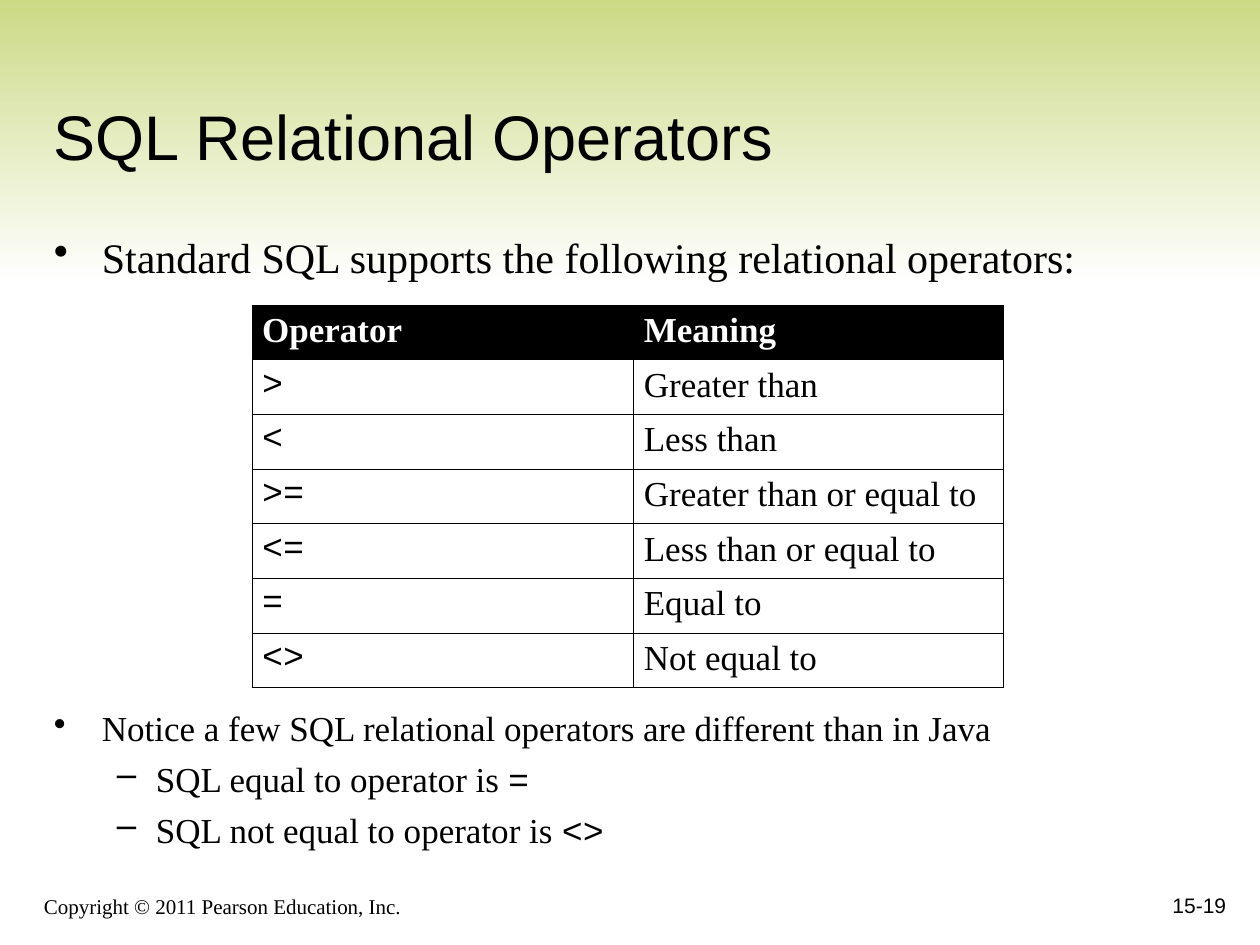
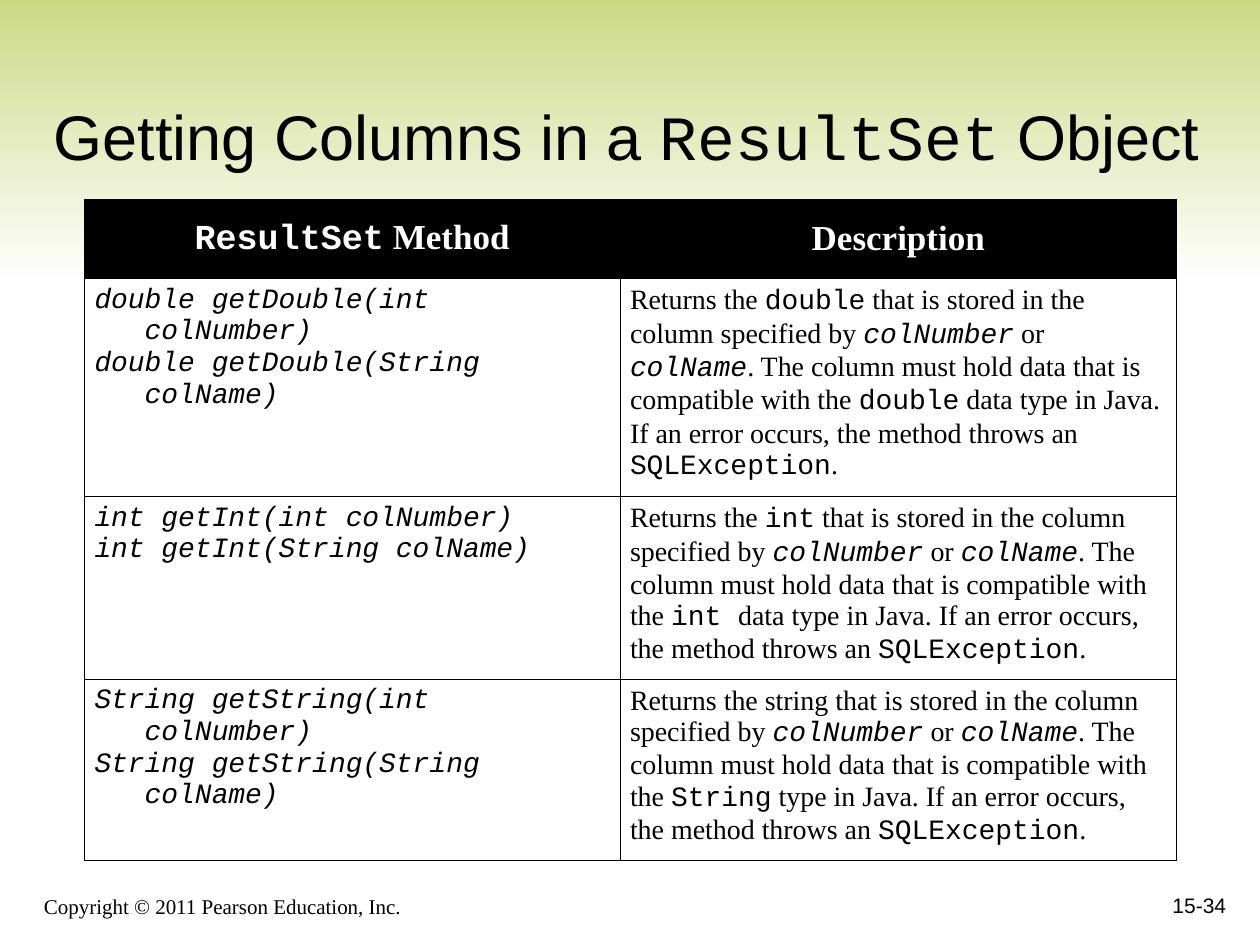
from dataclasses import dataclass

from lxml import etree
from pptx import Presentation
from pptx.dml.color import RGBColor
from pptx.enum.shapes import MSO_SHAPE
from pptx.enum.text import MSO_ANCHOR, PP_ALIGN
from pptx.oxml.ns import qn
from pptx.util import Inches, Pt


@dataclass(frozen=True)
class Theme:
    black: str = "000000"
    white: str = "FFFFFF"
    green: str = "CAD881"
    heading: str = "Arial"
    body: str = "Times New Roman"
    code: str = "Courier New"
    title_size: int = 36
    lead_size: int = 24
    body_size: int = 20
    detail_size: int = 16
    footer_size: int = 12
    border_width: float = 0.45


class SlideBuilder:
    """Holds the theme and the current slide.

    In texts, `word` is set in the code font and `~word` in slanted code font.
    """

    # Bullet character, left margin and hanging indent by level
    BULLETS = [("•", 0.38, 0.38), ("–", 0.81, 0.31)]

    def __init__(self, deck, theme):
        self.deck = deck
        self.theme = theme
        self.slide = None

    def start_slide(self, title, number):
        theme = self.theme
        self.slide = self.deck.slides.add_slide(self.deck.slide_layouts[6])
        self.band()
        self.text(0.25, 6.92, 6.08, 0.42, "Copyright © 2011 Pearson Education, Inc.",
                  theme.body, theme.footer_size)
        self.text(0.33, 0.33, 9.42, 1.09, title, theme.heading, theme.title_size)
        self.text(7.75, 6.83, 2.08, 0.5, number, theme.heading, theme.footer_size,
                  PP_ALIGN.RIGHT)

    def band(self):
        band = self.slide.shapes.add_shape(
            MSO_SHAPE.RECTANGLE, 0, Inches(-0.08), Inches(10), Inches(2.33))
        band.shadow.inherit = False
        band.line.fill.background()
        band.fill.gradient()
        band.fill.gradient_angle = 270
        for stop, color in zip(band.fill.gradient_stops, (self.theme.green, self.theme.white)):
            stop.color.rgb = RGBColor.from_string(color)

    def add_spans(self, para, text, font, size, color=None, bold=False):
        for index, piece in enumerate(text.split("`")):
            if not piece:
                continue
            is_code = index % 2 == 1
            span = para.add_run()
            span.text = piece.removeprefix("~")
            span.font.name = self.theme.code if is_code else font
            span.font.size = Pt(size)
            span.font.bold = bold
            span.font.italic = is_code and piece.startswith("~")
            span.font.color.rgb = RGBColor.from_string(color or self.theme.black)

    def text_box(self, left, top, width, height):
        box = self.slide.shapes.add_textbox(
            Inches(left), Inches(top), Inches(width), Inches(height))
        box.text_frame.word_wrap = True
        return box.text_frame

    def text(self, left, top, width, height, text, font, size, align=PP_ALIGN.LEFT):
        frame = self.text_box(left, top, width, height)
        frame.vertical_anchor = MSO_ANCHOR.BOTTOM
        para = frame.paragraphs[0]
        para.alignment = align
        self.add_spans(para, text, font, size)

    def bullets(self, left, top, width, height, items, size):
        frame = self.text_box(left, top, width, height)
        frame.margin_right = 0
        for index, (level, text) in enumerate(items):
            para = frame.add_paragraph() if index else frame.paragraphs[0]
            para.level = level
            character, margin, hanging = self.BULLETS[level]
            properties = para._p.get_or_add_pPr()
            properties.set("marL", str(Inches(margin)))
            properties.set("indent", str(-Inches(hanging)))
            etree.SubElement(properties, qn("a:buChar")).set("char", character)
            if index:
                para.space_before = Pt(size / 4)
            self.add_spans(para, text, self.theme.body, size)

    def table(self, left, top, widths, heights, rows, size, centre_header=False):
        theme = self.theme
        table = self.slide.shapes.add_table(
            len(rows), len(widths), Inches(left), Inches(top),
            Inches(sum(widths)), Inches(sum(heights))).table
        table.first_row = table.horz_banding = False
        for column, width in zip(table.columns, widths):
            column.width = Inches(width)
        for row, height in zip(table.rows, heights):
            row.height = Inches(height)
        for row_index, texts in enumerate(rows):
            is_header = row_index == 0
            for column_index, text in enumerate(texts):
                cell = table.cell(row_index, column_index)
                cell.margin_left = cell.margin_right = Inches(0.08)
                cell.margin_top = cell.margin_bottom = Inches(0.05)
                self.borders(cell)
                cell.fill.solid()
                cell.fill.fore_color.rgb = RGBColor.from_string(
                    theme.black if is_header else theme.white)
                if is_header and centre_header:
                    cell.vertical_anchor = MSO_ANCHOR.MIDDLE
                for line_index, line in enumerate(text.split("\n")):
                    frame = cell.text_frame
                    para = frame.add_paragraph() if line_index else frame.paragraphs[0]
                    if is_header and centre_header:
                        para.alignment = PP_ALIGN.CENTER
                    self.add_spans(para, line, theme.body,
                                   theme.body_size if is_header else size,
                                   theme.white if is_header else theme.black, is_header)

    def borders(self, cell):
        properties = cell._tc.get_or_add_tcPr()
        for side in ("lnL", "lnR", "lnT", "lnB"):
            line = etree.SubElement(properties, qn(f"a:{side}"))
            line.set("w", str(Pt(self.theme.border_width)))
            fill = etree.SubElement(line, qn("a:solidFill"))
            etree.SubElement(fill, qn("a:srgbClr")).set("val", self.theme.black)


def relational_operators(builder):
    theme = builder.theme
    builder.start_slide("SQL Relational Operators", "15-19")
    builder.bullets(0.33, 1.79, 9.07, 0.5, [
        (0, "Standard SQL supports the following relational operators:"),
    ], theme.lead_size)
    operators = [
        ("Operator", "Meaning"),
        ("`>`", "Greater than"),
        ("`<`", "Less than"),
        ("`>=`", "Greater than or equal to"),
        ("`<=`", "Less than or equal to"),
        ("`=`", "Equal to"),
        ("`<>`", "Not equal to"),
    ]
    builder.table(2, 2.42, [3.03, 2.93], [0.41] * len(operators), operators, theme.body_size)
    builder.bullets(0.33, 5.56, 9.07, 1.19, [
        (0, "Notice a few SQL relational operators are different than in Java"),
        (1, "SQL equal to operator is `=`"),
        (1, "SQL not equal to operator is `<>`"),
    ], theme.body_size)


def result_set_columns(builder):
    builder.start_slide("Getting Columns in a `ResultSet` Object", "15-34")

    def description(value, kind):
        return (f"Returns the {value} that is stored in the column specified by "
                "`~colNumber` or `~colName`. The column must hold data that is "
                f"compatible with the {kind} in Java. If an error occurs, "
                "the method throws an `SQLException`.")

    def split_signatures(kind, method):
        return "\n".join(f"`~{kind} {method}({argument}`\n`~   {name})`"
                         for argument, name in (("int", "colNumber"), ("String", "colName")))

    methods = [
        ("`ResultSet` Method", "Description"),
        (split_signatures("double", "getDouble"),
         description("`double`", "`double` data type")),
        ("`~int getInt(int colNumber)`\n`~int getInt(String colName)`",
         description("`int`", "`int `data type")),
        (split_signatures("String", "getString"),
         description("string", "`String` type")),
    ]
    builder.table(0.67, 1.58, [4.25, 4.42], [0.63, 1.73, 1.45, 1.44], methods,
                  builder.theme.detail_size, centre_header=True)


def main():
    deck = Presentation()
    deck.slide_width, deck.slide_height = Inches(10), Inches(7.5)
    builder = SlideBuilder(deck, Theme())
    relational_operators(builder)
    result_set_columns(builder)
    deck.save("out.pptx")


if __name__ == "__main__":
    main()
